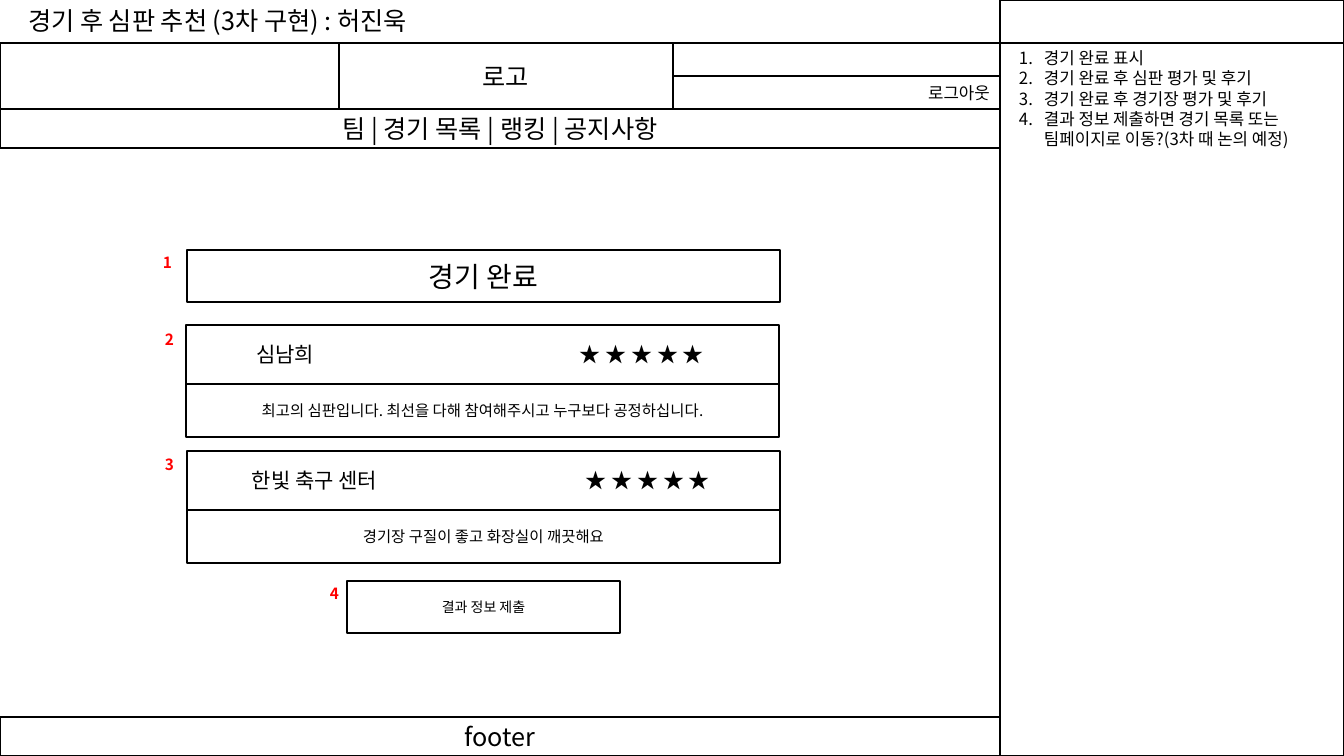
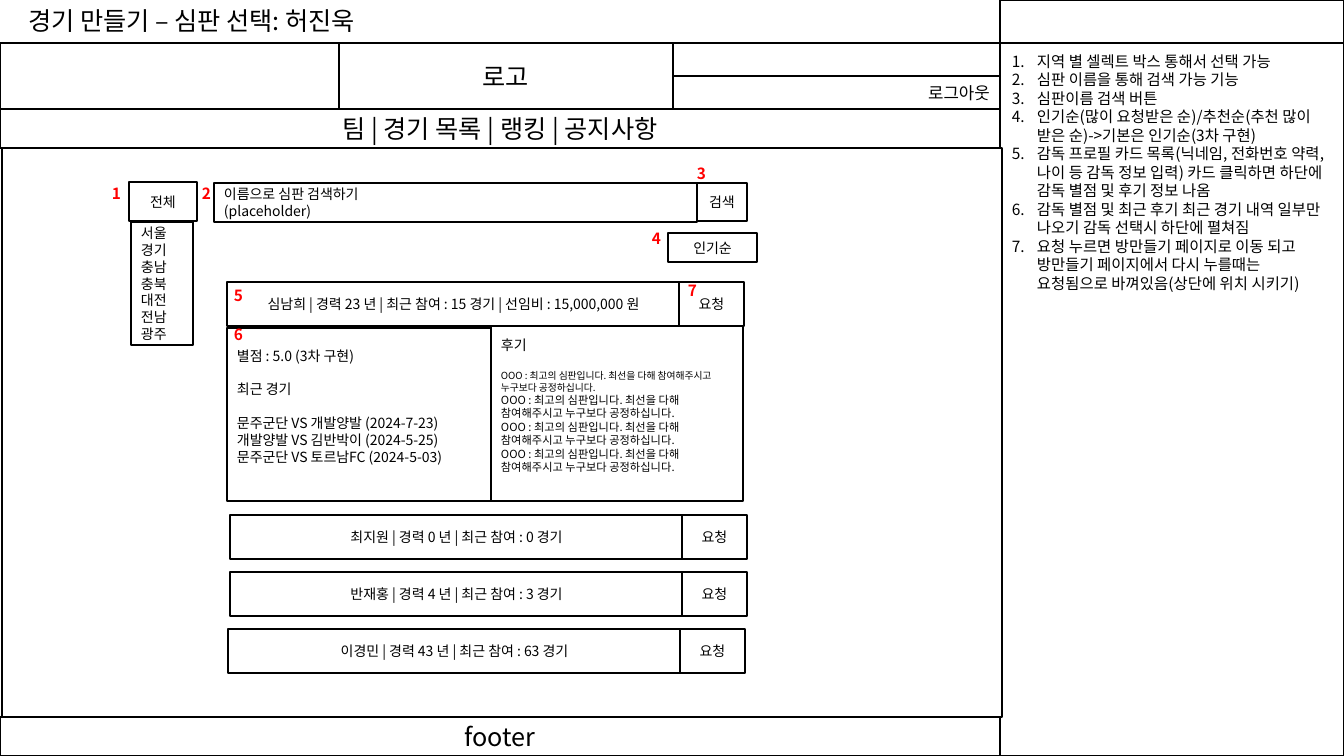
from lxml import etree
from pptx import Presentation
from pptx.dml.color import RGBColor
from pptx.enum.shapes import MSO_SHAPE
from pptx.enum.text import MSO_ANCHOR, MSO_AUTO_SIZE, PP_ALIGN
from pptx.oxml.ns import qn
from pptx.util import Emu, Pt

RECTANGLE = MSO_SHAPE.RECTANGLE
LEFT, CENTER, RIGHT = PP_ALIGN.LEFT, PP_ALIGN.CENTER, PP_ALIGN.RIGHT
TOP, MIDDLE = MSO_ANCHOR.TOP, MSO_ANCHOR.MIDDLE
NO_AUTOFIT = MSO_AUTO_SIZE.NONE

EMU_PER_INCH = 914400
PX_PER_INCH = 100.8
FONT = "Noto Sans CJK KR"
BLACK, WHITE, RED = "000000", "FFFFFF", "FF0000"
INSETS = (10, 5, 10, 5)
PANEL_INSETS = (10, 5, 10, 22)
PAGE_WIDTH, PAGE_HEIGHT = 1344, 756
MAIN_WIDTH, TITLE_HEIGHT = 1000, 43
SIDE_WIDTH = PAGE_WIDTH - MAIN_WIDTH

REVIEW = "OOO : 최고의 심판입니다. 최선을 다해 참여해주시고 누구보다 공정하십니다."


def px(length):
    return Emu(round(length * EMU_PER_INCH / PX_PER_INCH))


def color(value):
    return RGBColor.from_string(value)


def place(shape, area):
    shape.left, shape.top, shape.width, shape.height = map(px, area)


def outline(shape):
    shape.fill.solid()
    shape.fill.fore_color.rgb = color(WHITE)
    shape.line.color.rgb = color(BLACK)
    shape.line.width = Pt(1)


def write(shape, lines, size, align=LEFT, anchor=TOP, insets=INSETS,
          text_color=BLACK, bold=False):
    frame = shape.text_frame
    frame.word_wrap = True
    frame.auto_size = NO_AUTOFIT
    frame.vertical_anchor = anchor
    (frame.margin_left, frame.margin_top,
     frame.margin_right, frame.margin_bottom) = map(px, insets)
    frame.text = "\n".join(lines)
    for paragraph in frame.paragraphs:
        paragraph.alignment = align
        paragraph.space_before = Pt(0)
        paragraph.line_spacing = 1.0
        font = paragraph.font
        font.name = FONT
        font.size = Pt(size)
        font.bold = bold
        font.color.rgb = color(text_color)
    for properties in shape.element.iter(qn("a:defRPr")):
        etree.SubElement(properties, qn("a:ea")).set("typeface", FONT)


def add_box(slide, area, lines=(), size=10, align=CENTER, insets=INSETS):
    shape = slide.shapes.add_shape(RECTANGLE, *map(px, area))
    shape.shadow.inherit = False
    outline(shape)
    if lines:
        write(shape, lines, size, align, MIDDLE, insets)
    return shape


def add_markers(slide, positions):
    for number, (left, top) in enumerate(positions, 1):
        marker = slide.shapes.add_textbox(*map(px, (left, top, 38, 29)))
        write(marker, [str(number)], 11, text_color=RED, bold=True)


def number_paragraphs(shape):
    for properties in shape.element.iter(qn("a:pPr")):
        properties.set("marL", str(px(25)))
        properties.set("indent", str(-px(25)))
        numbering = etree.Element(qn("a:buAutoNum"), type="arabicPeriod")
        properties.find(qn("a:defRPr")).addprevious(numbering)


def add_page(presentation, title, notes, note_size, note_insets):
    slide = presentation.slides.add_slide(presentation.slide_layouts[1])
    heading, sidebar = slide.placeholders
    place(heading, (18, 0, 537, 40))
    write(heading, [title], 18)
    place(sidebar, (MAIN_WIDTH, TITLE_HEIGHT, SIDE_WIDTH, PAGE_HEIGHT - TITLE_HEIGHT))
    outline(sidebar)
    write(sidebar, notes, note_size, insets=note_insets)
    number_paragraphs(sidebar)

    add_box(slide, (MAIN_WIDTH, 0, SIDE_WIDTH, TITLE_HEIGHT))
    add_box(slide, (0, TITLE_HEIGHT, MAIN_WIDTH, 105))
    add_box(slide, (339, TITLE_HEIGHT, 334, 66), ["로고"], 18)
    add_box(slide, (0, 109, MAIN_WIDTH, 39), ["팀 | 경기 목록 | 랭킹 | 공지사항"], 18)
    add_box(slide, (673, 76, 327, 33), ["로그아웃"], 12, RIGHT)
    add_box(slide, (0, 717, MAIN_WIDTH, 39), ["footer"], 18)
    return slide


def add_rating(slide, left, top, name, name_inset, stars_offset, review):
    header = add_box(slide, (left, top, 593, 59), [f"{name}\t★ ★ ★ ★ ★"], 15, LEFT,
                     (name_inset, 5, 10, 5))
    for properties in header.element.iter(qn("a:pPr")):
        stops = etree.Element(qn("a:tabLst"))
        etree.SubElement(stops, qn("a:tab"), pos=str(px(stars_offset)), algn="l")
        properties.find(qn("a:defRPr")).addprevious(stops)
    add_box(slide, (left, top + 59, 593, 53), [review], 11)


def add_referee(slide, left, top, summary):
    add_box(slide, (left, top, 453, 44), [summary])
    add_box(slide, (left + 452, top, 65, 44), ["요청"])


def build_review_page(presentation):
    slide = add_page(presentation, "경기 후 심판 추천 (3차 구현) : 허진욱", [
        "경기 완료 표시",
        "경기 완료 후 심판 평가 및 후기",
        "경기 완료 후 경기장 평가 및 후기",
        "결과 정보 제출하면 경기 목록 또는 팀페이지로 이동?(3차 때 논의 예정)",
    ], 12, (19, 5, 21, 5))
    add_box(slide, (187, 250, 593, 52), ["경기 완료"], 20)
    add_rating(slide, 186, 325, "심남희", 70, 324,
               "최고의 심판입니다. 최선을 다해 참여해주시고 누구보다 공정하십니다.")
    add_rating(slide, 187, 451, "한빛 축구 센터", 65, 334,
               "경기장 구질이 좋고 화장실이 깨끗해요")
    add_box(slide, (347, 581, 273, 52), ["결과 정보 제출"])
    add_markers(slide, [(153, 248), (155, 325), (155, 450), (320, 579)])


def build_selection_page(presentation):
    slide = add_page(presentation, "경기 만들기 – 심판 선택: 허진욱", [
        "지역 별 셀렉트 박스 통해서 선택 가능",
        "심판 이름을 통해 검색 가능 기능",
        "심판이름 검색 버튼",
        "인기순(많이 요청받은 순)/추천순(추천 많이 받은 순)->기본은 인기순(3차 구현)",
        "감독 프로필 카드 목록(닉네임, 전화번호 약력, 나이 등 감독 정보 입력) "
        "카드 클릭하면 하단에 감독 별점 및 후기 정보 나옴",
        "감독 별점 및 최근 후기 최근 경기 내역 일부만 나오기 감독 선택시 하단에 펼쳐짐",
        "요청 누르면 방만들기 페이지로 이동 되고 방만들기 페이지에서 다시 누를때는 "
        "요청됨으로 바껴있음(상단에 위치 시키기)",
    ], 11, (12, 9, 12, 5))
    add_box(slide, (2, 148, MAIN_WIDTH, 569))
    add_box(slide, (129, 182, 68, 39), ["전체"])
    add_box(slide, (131, 222, 62, 123),
            ["서울", "경기", "충남", "충북", "대전", "전남", "광주"], align=LEFT)
    add_box(slide, (214, 183, 483, 39), ["이름으로 심판 검색하기\v(placeholder)"], align=LEFT)
    add_box(slide, (697, 183, 50, 38), ["검색"])
    add_box(slide, (668, 233, 89, 29), ["인기순"])

    add_referee(slide, 227, 282,
                "심남희 | 경력 23 년 | 최근 참여 : 15 경기 | 선임비 : 15,000,000 원")
    record = add_box(slide, (227, 328, 264, 173), [
        "별점 : 5.0 (3차 구현)",
        "최근 경기",
        "문주군단 VS 개발양발 (2024-7-23)",
        "개발양발 VS 김반박이 (2024-5-25)",
        "문주군단 VS 토르남FC (2024-5-03)",
    ], align=LEFT, insets=PANEL_INSETS)
    for paragraph in record.text_frame.paragraphs[1:3]:
        paragraph.space_before = Pt(12)

    reviews = add_box(slide, (491, 326, 252, 175), ["후기"] + [REVIEW] * 4,
                      align=LEFT, insets=PANEL_INSETS)
    review_paragraphs = reviews.text_frame.paragraphs[1:]
    review_paragraphs[0].space_before = Pt(12)
    for paragraph, size in zip(review_paragraphs, (7, 8, 8, 8)):
        paragraph.font.size = Pt(size)

    referees = [(230, "최지원", 0, 0), (230, "반재홍", 4, 3), (228, "이경민", 43, 63)]
    for index, (left, name, years, matches) in enumerate(referees):
        add_referee(slide, left, 515 + 57 * index,
                    f"{name} | 경력 {years} 년 | 최근 참여 : {matches} 경기")
    add_markers(slide, [(102, 179), (192, 179), (687, 159), (642, 224),
                        (224, 281), (224, 320), (678, 276)])


def main():
    presentation = Presentation()
    presentation.slide_width = px(PAGE_WIDTH)
    presentation.slide_height = px(PAGE_HEIGHT)
    build_review_page(presentation)
    build_selection_page(presentation)
    presentation.save("out.pptx")


if __name__ == "__main__":
    main()
